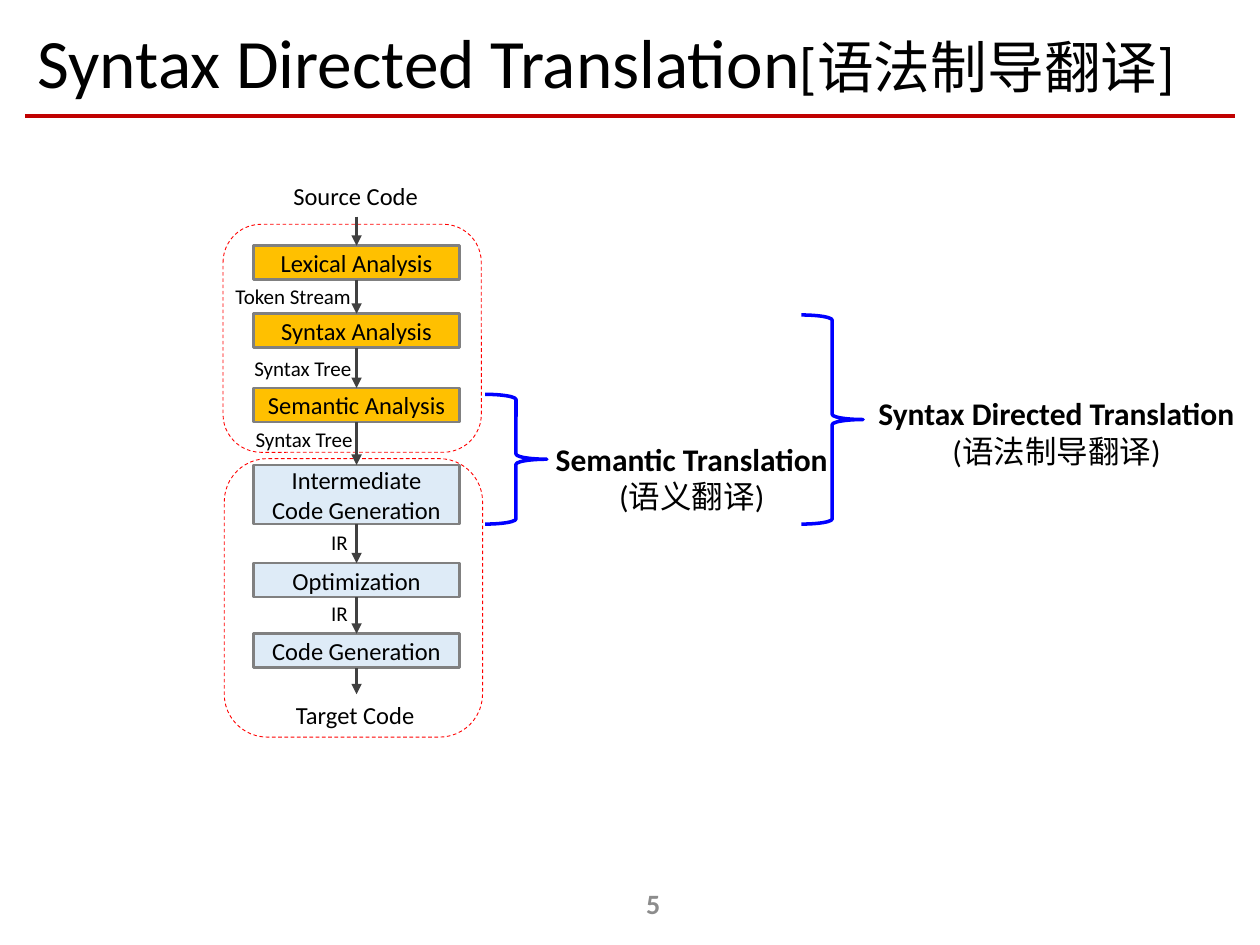
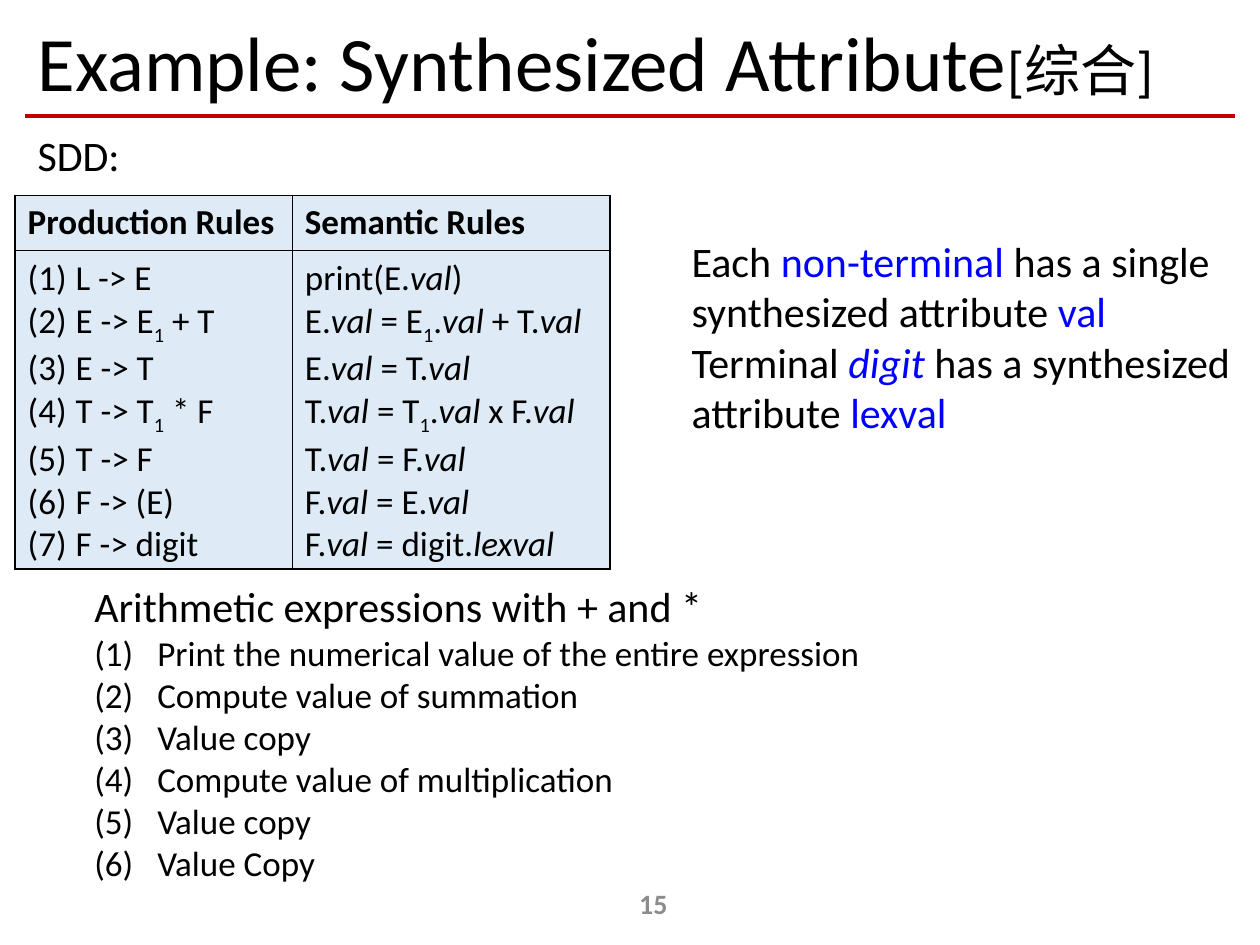
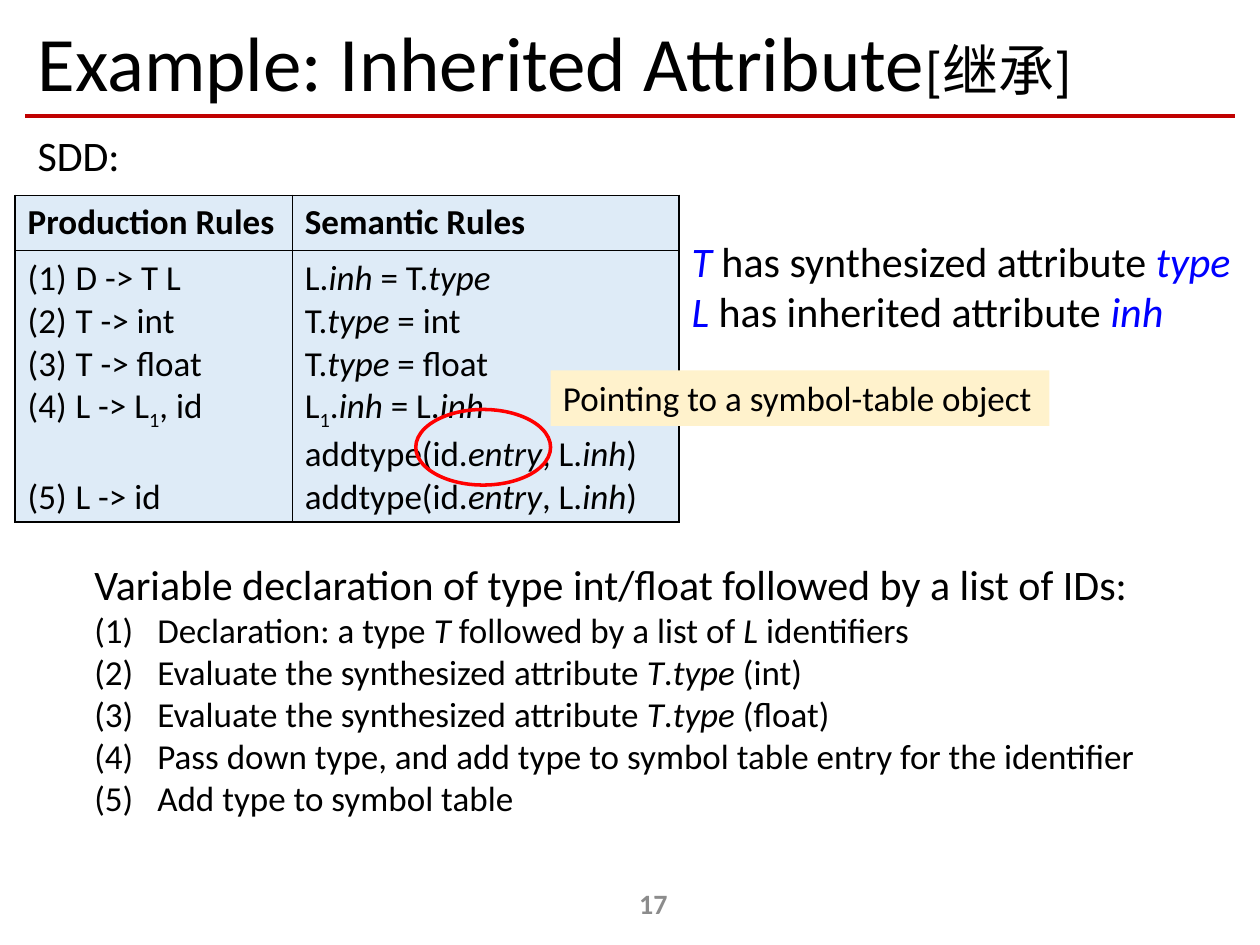
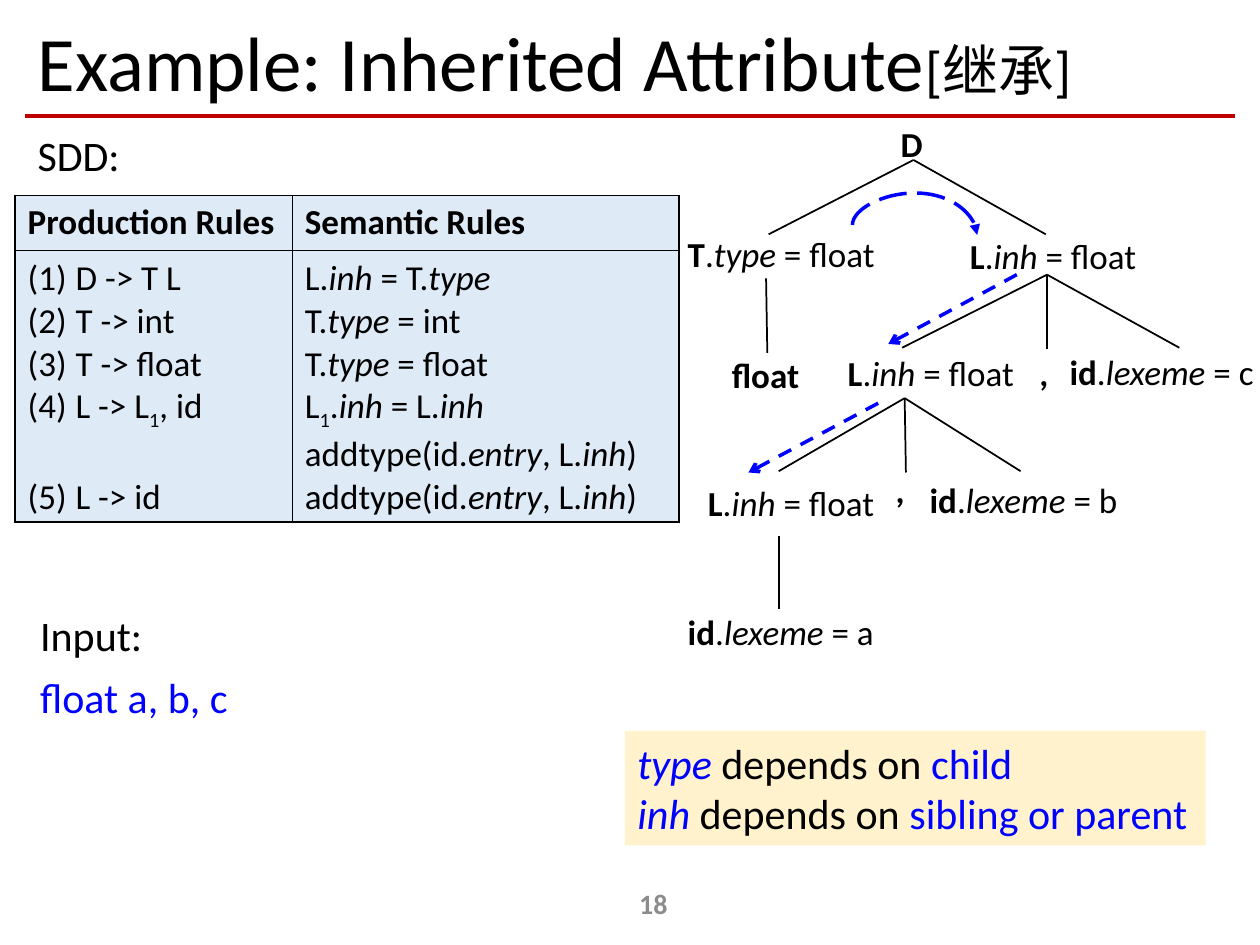
from dataclasses import dataclass
from itertools import groupby

from lxml import etree
from pptx import Presentation
from pptx.dml.color import RGBColor
from pptx.enum.dml import MSO_LINE
from pptx.enum.shapes import MSO_CONNECTOR, MSO_SHAPE
from pptx.enum.text import MSO_ANCHOR, MSO_AUTO_SIZE, PP_ALIGN
from pptx.oxml.ns import qn
from pptx.util import Inches, Pt

STRAIGHT, CURVE = MSO_CONNECTOR.STRAIGHT, MSO_CONNECTOR.CURVE
RECT, ROUND_RECT = MSO_SHAPE.RECTANGLE, MSO_SHAPE.ROUNDED_RECTANGLE
BRACE, OVAL = MSO_SHAPE.RIGHT_BRACE, MSO_SHAPE.OVAL
DASH, LONG_DASH = MSO_LINE.DASH, MSO_LINE.LONG_DASH
LEFT, CENTER = PP_ALIGN.LEFT, PP_ALIGN.CENTER
MIDDLE = MSO_ANCHOR.MIDDLE
FIT = MSO_AUTO_SIZE.SHAPE_TO_FIT_TEXT
TOP_SIDE, BOTTOM_SIDE = 0, 2
MARKS = "_^`~@"


@dataclass(frozen=True)
class Theme:
    font: str = "Calibri"
    black: str = "000000"
    blue: str = "0000FF"
    red: str = "FF0000"
    rule: str = "C00000"
    number: str = "8C8C8C"
    arrow: str = "404040"
    border: str = "808080"
    amber: str = "FFC000"
    pale_blue: str = "DEEBF7"
    cream: str = "FFF2CC"
    title: float = 44
    title_small: float = 32
    long_title: float = 39.6
    long_title_small: float = 32.4
    body: float = 24
    detail: float = 20
    caption: float = 18
    page: float = 16
    step: float = 14
    label: float = 12


T = Theme()


def write(tf, text, size, small=None, color=T.black, bold=False, align=LEFT, indent=0.5):
    """Marks toggle: _ italic, ^ bold, ` blue, ~ subscript, @ small; a leading # numbers the line."""
    for i, line in enumerate(text.split("\n")):
        p = tf.add_paragraph() if i else tf.paragraphs[0]
        p.alignment = align
        if line.startswith("#"):
            pPr = p._p.get_or_add_pPr()
            pPr.set("marL", str(Inches(indent)))
            pPr.set("indent", str(-Inches(indent)))
            etree.SubElement(pPr, qn("a:buFont"), typeface="+mj-lt")
            etree.SubElement(pPr, qn("a:buAutoNum"), type="arabicParenBoth")
        on = set()
        for is_mark, chars in groupby(line.lstrip("#"), key=lambda ch: ch in MARKS):
            if is_mark:
                on ^= set(chars)
                continue
            r = p.add_run()
            r.text = "".join(chars)
            fmt = {"name": T.font, "size": Pt(small if "@" in on else size),
                   "bold": bold or "^" in on, "italic": "_" in on}
            for key, value in fmt.items():
                setattr(r.font, key, value)
            r.font.color.rgb = RGBColor.from_string(T.blue if "`" in on else color)
            if "~" in on:
                r.font._element.set("baseline", "-25000")


def add_line(s, x1, y1, x2, y2, color=T.black, width=1, dash=None, head=None, kind=STRAIGHT):
    cxn = s.shapes.add_connector(kind, Inches(x1), Inches(y1), Inches(x2), Inches(y2))
    cxn.line.color.rgb = RGBColor.from_string(color)
    cxn.line.width = Pt(width)
    if dash:
        cxn.line.dash_style = dash
    if head:
        etree.SubElement(cxn.line._get_or_add_ln(), qn("a:tailEnd"), type=head)
    etree.SubElement(cxn._element.spPr, qn("a:effectLst"))
    return cxn


synthesized = {
    "widths": (2.2, 2.52), "body_height": 2.43, "last_gap": 0,
    "productions": "#L -> E\n#E -> E~1~ + T\n#E -> T\n#T -> T~1~ * F\n#T -> F\n#F -> (E)\n#F -> digit",
    "rules": "print(E._val_)\nE._val_ = E~1~._val_ + T._val_\nE._val_ = T._val_\n"
             "T._val_ = T~1~._val_ x F._val_\nT._val_ = F._val_\nF._val_ = E._val_\n"
             "F._val_ = digit._lexval_",
}
inherited = {
    "widths": (2.2, 3.07), "body_height": 2.09, "last_gap": 24.4,
    "productions": "#D -> T L\n#T -> int\n#T -> float\n#L -> L~1~, id\n#L -> id",
    "rules": "L._inh_ = T._type_\nT._type_ = int\nT._type_ = float\nL~1~._inh_ = L._inh_\n"
             "addtype(id._entry_, L._inh_)\naddtype(id._entry_, L._inh_)",
}

decks = [
    (5, "Syntax Directed Translation@[语法制导翻译]", T.long_title, T.long_title_small, None),
    (15, "Example: Synthesized Attribute@[综合]", T.title, T.title_small, synthesized),
    (17, "Example: Inherited Attribute@[继承]", T.title, T.title_small, inherited),
    (18, "Example: Inherited Attribute@[继承]", T.title, T.title_small, inherited),
]

prs = Presentation()
prs.slide_width, prs.slide_height = Inches(10), Inches(7.5)

for number, title, size, small, grammar in decks:
    s = prs.slides.add_slide(prs.slide_layouts[6])
    add_line(s, 0.2, 0.92, 9.8, 0.92, T.rule, 2.5)

    tf = s.shapes.add_textbox(Inches(0.2), Inches(0.13), Inches(9.61), Inches(0.79)).text_frame
    tf.word_wrap, tf.vertical_anchor = True, MIDDLE
    write(tf, title, size, small)
    tf.paragraphs[0].line_spacing = 0.9

    tf = s.shapes.add_textbox(Inches(4.06), Inches(6.97), Inches(2.25), Inches(0.4)).text_frame
    tf.word_wrap, tf.vertical_anchor = True, MIDDLE
    write(tf, str(number), T.page, color=T.number, bold=True, align=CENTER)

    if not grammar:
        continue
    widths, heights = grammar["widths"], (0.44, grammar["body_height"])
    table = s.shapes.add_table(2, 2, Inches(0.12), Inches(1.55),
                               Inches(sum(widths)), Inches(sum(heights))).table
    table.first_row = table.horz_banding = False
    for col, width in zip(table.columns, widths):
        col.width = Inches(width)
    for row, height in zip(table.rows, heights):
        row.height = Inches(height)
    contents = ["^Production Rules", "^Semantic Rules", grammar["productions"], grammar["rules"]]
    for cell, text in zip(table.iter_cells(), contents):
        tcPr = cell._tc.get_or_add_tcPr()
        for side in ("a:lnL", "a:lnR", "a:lnT", "a:lnB"):
            ln = etree.SubElement(tcPr, qn(side), w=str(Pt(1)))
            etree.SubElement(etree.SubElement(ln, qn("a:solidFill")), qn("a:srgbClr"), val=T.black)
        cell.fill.solid()
        cell.fill.fore_color.rgb = RGBColor.from_string(T.pale_blue)
        write(cell.text_frame, text, T.detail, indent=0.38)
    if grammar["last_gap"]:
        table.cell(1, 0).text_frame.paragraphs[-1].space_before = Pt(grammar["last_gap"])

flow, synth, inherit, tree = prs.slides

outlines = [
    (flow, ROUND_RECT, (1.77, 1.78, 2.05, 1.81), T.red, 0.5, DASH),
    (flow, ROUND_RECT, (1.78, 3.64, 2.05, 2.21), T.red, 0.5, DASH),
    (flow, BRACE, (3.85, 3.13, 0.49, 1.03), T.blue, 2, None),
    (flow, BRACE, (6.36, 2.5, 0.49, 1.66), T.blue, 2, None),
    (inherit, OVAL, (3.3, 3.25, 1.07, 0.6), T.red, 2, None),
]
for s, shape, box, color, width, dash in outlines:
    sp = s.shapes.add_shape(shape, *map(Inches, box))
    sp.shadow.inherit = False
    sp.fill.background()
    sp.line.color.rgb = RGBColor.from_string(color)
    sp.line.width = Pt(width)
    if dash:
        sp.line.dash_style = dash

steps = [
    ("Lexical Analysis", 1.95, 0.27, T.amber),
    ("Syntax Analysis", 2.49, 0.27, T.amber),
    ("Semantic Analysis", 3.08, 0.27, T.amber),
    ("Intermediate Code Generation", 3.69, 0.47, T.pale_blue),
    ("Optimization", 4.47, 0.27, T.pale_blue),
    ("Code Generation", 5.03, 0.27, T.pale_blue),
]
axis, source_bottom, target_top = 2.83, 1.72, 5.51
previous, previous_bottom = None, source_bottom
for name, top, height, fill in steps:
    sp = flow.shapes.add_shape(RECT, Inches(2.01), Inches(top), Inches(1.64), Inches(height))
    sp.shadow.inherit = False
    sp.fill.solid()
    sp.fill.fore_color.rgb = RGBColor.from_string(fill)
    sp.line.color.rgb = RGBColor.from_string(T.border)
    sp.line.width = Pt(1.5)
    sp.text_frame.word_wrap, sp.text_frame.vertical_anchor = True, MIDDLE
    write(sp.text_frame, name, T.step, align=CENTER)
    cxn = add_line(flow, axis, previous_bottom, axis, top, T.arrow, 1.5, head="triangle")
    if previous:
        cxn.begin_connect(previous, BOTTOM_SIDE)
    cxn.end_connect(sp, TOP_SIDE)
    previous, previous_bottom = sp, top + height
cxn = add_line(flow, axis, previous_bottom, axis, target_top, T.arrow, 1.5, head="triangle")
cxn.begin_connect(previous, BOTTOM_SIDE)

branches = [
    ((7.25, 1.27), [(6.1, 1.86), (8.3, 1.86)]),
    ((6.08, 2.21), [(6.09, 2.8)]),
    ((8.31, 2.18), [(7.16, 2.76), (8.31, 2.77), (9.36, 2.76)]),
    ((7.18, 3.16), [(6.18, 3.74), (7.19, 3.75), (8.1, 3.74)]),
    ((6.18, 4.25), [(6.18, 4.83)]),
]
for parent, children in branches:
    for child in children:
        add_line(tree, *child, *parent)
for ends in [(8.07, 2.18, 7.05, 2.73), (6.97, 3.2, 5.94, 3.75)]:
    add_line(tree, *ends, T.blue, 2, DASH, "arrow")

arc = add_line(tree, 7.22, 1.33, 7.3, 2.32, T.blue, 2, LONG_DASH, "triangle", CURVE)
xfrm = arc._element.spPr.find(qn("a:xfrm"))
xfrm.set("rot", str(270 * 60000))
xfrm.set("flipH", "1")
guides = arc._element.spPr.find(qn("a:prstGeom")).find(qn("a:avLst"))
etree.SubElement(guides, qn("a:gd"), name="adj1", fmla="val -317500")

texts = [
    (flow, (2.23, 1.39, 1.2, 0.34), "Source Code", T.step, {}),
    (flow, (2.25, 5.51, 1.15, 0.34), "Target Code", T.step, {}),
    (flow, (1.77, 2.2, 1.15, 0.3), "Token Stream", T.label, {}),
    (flow, (1.92, 2.77, 1, 0.3), "Syntax Tree", T.label, {}),
    (flow, (1.93, 3.34, 1, 0.3), "Syntax Tree", T.label, {}),
    (flow, (2.53, 4.15, 0.34, 0.3), "IR", T.label, {}),
    (flow, (2.53, 4.72, 0.34, 0.3), "IR", T.label, {}),
    (flow, (4.3, 3.44, 2.38, 0.71), "^Semantic Translation\n(语义翻译)", T.caption,
     {"align": CENTER}),
    (flow, (6.86, 3.08, 3.05, 0.71), "^Syntax Directed Translation\n(语法制导翻译)", T.caption,
     {"align": CENTER}),
    *[(s, (0.2, 0.98, 0.86, 0.5), "SDD:", T.body, {}) for s in (synth, inherit, tree)],
    (synth, (0.65, 4.56, 6.34, 2.52),
     "Arithmetic expressions with + and *\n"
     "#@Print the numerical value of the entire expression\n#@Compute value of summation\n"
     "#@Value copy\n#@Compute value of multiplication\n#@Value copy\n#@Value Copy",
     T.body, {"small": T.detail}),
    (synth, (5.39, 1.82, 4.51, 1.72),
     "Each `non-terminal` has a single\nsynthesized attribute `val\n"
     "Terminal `_digit_` has a synthesized\nattribute `lexval", T.body, {}),
    (inherit, (0.65, 4.38, 8.48, 2.19),
     "Variable declaration of type int/float followed by a list of IDs:\n"
     "#@Declaration: a type _T_ followed by a list of _L_ identifiers\n"
     "#@Evaluate the synthesized attribute _T_._type_ (int)\n"
     "#@Evaluate the synthesized attribute _T_._type_ (float)\n"
     "#@Pass down type, and add type to symbol table entry for the identifier\n"
     "#@Add type to symbol table", T.body, {"small": T.detail}),
    (inherit, (5.39, 1.82, 4.54, 0.91),
     "`_T_` has synthesized attribute `_type\n`_L_` has inherited attribute `_inh", T.body, {}),
    (inherit, (4.37, 2.94, 3.96, 0.44), "Pointing to a symbol-table object", T.detail,
     {"fill": T.cream}),
    (tree, (0.22, 4.79, 1.02, 0.5), "Input:", T.body, {}),
    (tree, (0.22, 5.28, 1.7, 0.5), "float a, b, c", T.body, {"color": T.blue}),
    (tree, (7.05, 0.92, 0.38, 0.44), "^D", T.detail, {}),
    (tree, (5.36, 1.8, 1.7, 0.44), "^T^._type_ = float", T.detail, {}),
    (tree, (7.6, 1.81, 1.54, 0.44), "^L^._inh_ = float", T.detail, {}),
    (tree, (5.71, 2.76, 0.74, 0.44), "^float", T.detail, {}),
    (tree, (6.63, 2.74, 1.54, 0.44), "^L^._inh_ = float", T.detail, {}),
    (tree, (8.15, 2.74, 0.27, 0.44), "^,", T.detail, {}),
    (tree, (8.39, 2.73, 1.67, 0.44), "^id^._lexeme_ = c", T.detail, {}),
    (tree, (5.52, 3.77, 1.54, 0.44), "^L^._inh_ = float", T.detail, {}),
    (tree, (7.01, 3.67, 0.27, 0.44), "^,", T.detail, {}),
    (tree, (7.28, 3.75, 1.7, 0.44), "^id^._lexeme_ = b", T.detail, {}),
    (tree, (5.36, 4.8, 1.69, 0.44), "^id^._lexeme_ = a", T.detail, {}),
    (tree, (4.96, 5.8, 4.61, 0.91),
     "`_type_` depends on `child\n`_inh_` depends on `sibling or parent", T.body,
     {"fill": T.cream}),
]
for s, box, text, size, fmt in texts:
    sp = s.shapes.add_textbox(*map(Inches, box))
    sp.text_frame.word_wrap, sp.text_frame.auto_size = False, FIT
    if "fill" in fmt:
        sp.fill.solid()
        sp.fill.fore_color.rgb = RGBColor.from_string(fmt["fill"])
    write(sp.text_frame, text, size, **{k: v for k, v in fmt.items() if k != "fill"})

prs.save("out.pptx")
